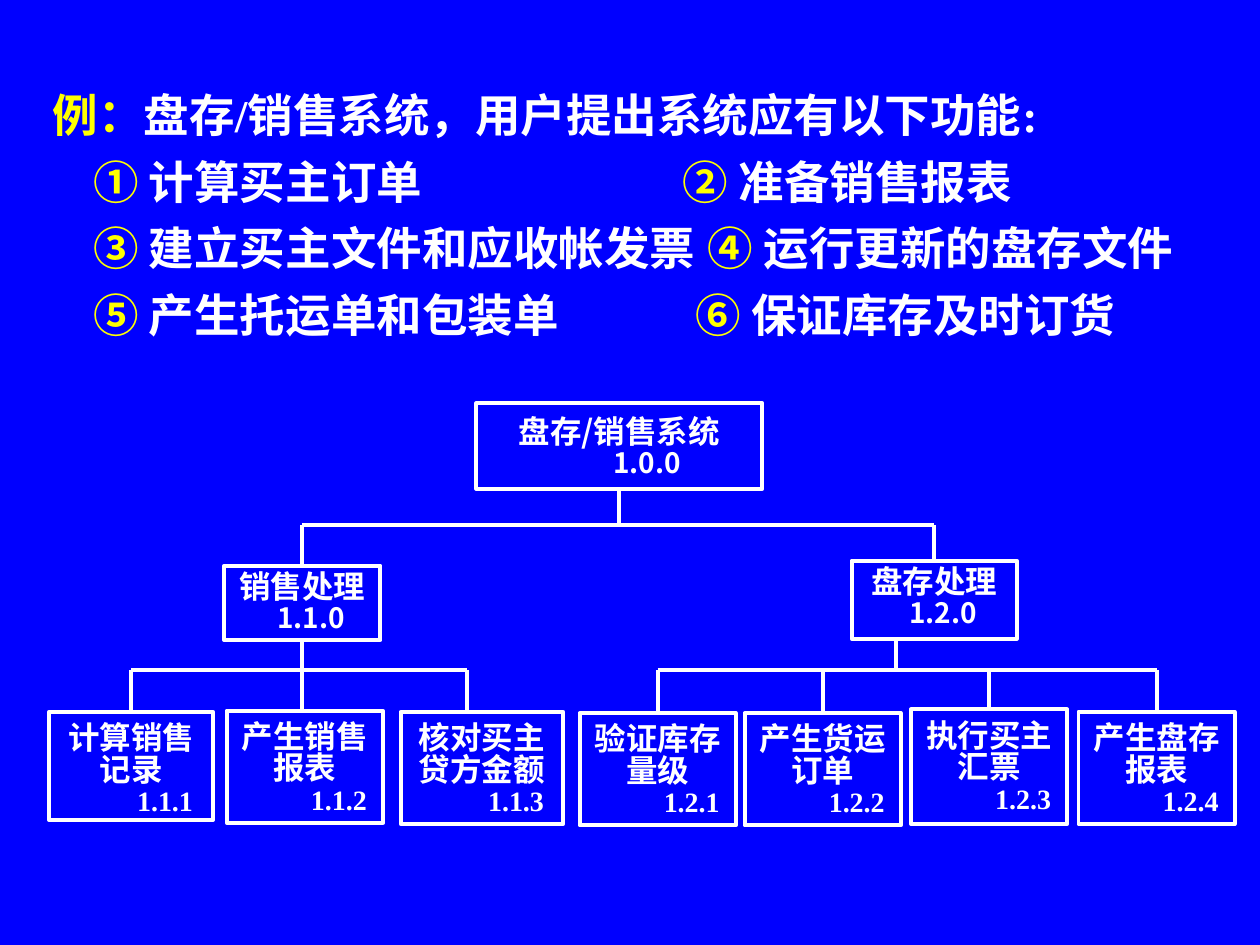
from lxml import etree
from pptx import Presentation
from pptx import util as u
from pptx.dml.color import RGBColor
from pptx.enum import shapes, text
from pptx.oxml.ns import qn

BLUE = RGBColor(0x00, 0x00, 0xFF)
WHITE = RGBColor(0xFF, 0xFF, 0xFF)
YELLOW = RGBColor(0xFF, 0xFF, 0x00)
CJK = "Noto Sans CJK SC"
LATIN = "Times New Roman"
LINE_W = u.Pt(2.25)

# Per level: Latin font, top inset, right shift of the number
ROOT = dict(font=CJK, top=0.12, shift=0.44)
BRANCH = dict(font=CJK, top=0.06, shift=0.14)
LEAF = dict(font=LATIN, top=0.1, shift=0.54)

# Left, top, width, height, caption lines, number
SYSTEM = (3.78, 3.2, 2.27, 0.68, ["盘存/销售系统"], "1.0.0")
SALES = (1.78, 4.49, 1.24, 0.59, ["销售处理"], "1.1.0")
STOCK = (6.76, 4.45, 1.31, 0.62, ["盘存处理"], "1.2.0")
SALES_LEAVES = [
    (0.39, 5.65, 1.3, 0.86, ["计算销售", "记录"], "1.1.1"),
    (1.8, 5.64, 1.24, 0.89, ["产生销售", "报表"], "1.1.2"),
    (3.18, 5.65, 1.29, 0.89, ["核对买主", "贷方金额"], "1.1.3"),
]
STOCK_LEAVES = [
    (4.6, 5.66, 1.24, 0.89, ["验证库存", "量级"], "1.2.1"),
    (5.91, 5.66, 1.24, 0.89, ["产生货运", "订单"], "1.2.2"),
    (7.23, 5.63, 1.24, 0.91, ["执行买主", "汇票"], "1.2.3"),
    (8.56, 5.65, 1.24, 0.89, ["产生盘存", "报表"], "1.2.4"),
]

# Start of the second column, then the two numbered items of the row
FUNCTIONS = [
    (5.0, ("①", "计算买主订单"), ("②", "准备销售报表")),
    (5.2, ("③", "建立买主文件和应收帐发票"), ("④", "运行更新的盘存文件")),
    (5.1, ("⑤", "产生托运单和包装单"), ("⑥", "保证库存及时订货")),
]


class Deck:
    def __init__(self):
        self.prs = Presentation()
        self.prs.slide_width = u.Inches(10)
        self.prs.slide_height = u.Inches(7.5)
        self.s = self.prs.slides.add_slide(self.prs.slide_layouts[6])
        fill = self.s.background.fill
        fill.solid()
        fill.fore_color.rgb = BLUE

    def run(self, p, words, size, color=WHITE, font=LATIN):
        r = p.add_run()
        r.text = words
        r.font.color.rgb = color
        for name, value in dict(bold=True, name=font, size=u.Pt(size)).items():
            setattr(r.font, name, value)
        ea = etree.SubElement(r.font._element, qn("a:ea"))
        ea.set("typeface", CJK)

    def intro(self, x, y, w, h):
        """Heading line and two columns of numbered functions set on tabs."""
        tf = self.s.shapes.add_textbox(*map(u.Inches, (x, y, w, h))).text_frame
        tf.word_wrap = True
        size = 26
        p = tf.paragraphs[0]
        p.line_spacing = u.Pt(38)
        self.run(p, "例：", size, YELLOW)
        self.run(p, "盘存/销售系统，用户提出系统应有以下功能:", size)
        for column, *items in FUNCTIONS:
            p = tf.add_paragraph()
            p.line_spacing = u.Pt(38)
            tabs = etree.SubElement(p._p.get_or_add_pPr(), qn("a:tabLst"))
            for stop, (number, words) in zip((0.32, column), items):
                tab = etree.SubElement(tabs, qn("a:tab"))
                tab.set("pos", str(u.Inches(stop)))
                tab.set("algn", "l")
                self.run(p, "\t" + number, size, YELLOW)
                self.run(p, " " + words, size)

    def box(self, node, level):
        *place, caption, code = node
        sp = self.s.shapes.add_shape(shapes.MSO_SHAPE.RECTANGLE, *map(u.Inches, place))
        sp.shadow.inherit = False
        sp.fill.solid()
        sp.fill.fore_color.rgb = BLUE
        sp.line.color.rgb = WHITE
        sp.line.width = LINE_W
        tf = sp.text_frame
        frame = dict(word_wrap=True, vertical_anchor=text.MSO_ANCHOR.TOP,
                     margin_top=u.Inches(level["top"]), margin_bottom=0)
        for name, value in frame.items():
            setattr(tf, name, value)
        for i, words in enumerate(caption + [code]):
            p = tf.add_paragraph() if i else tf.paragraphs[0]
            p.alignment = text.PP_ALIGN.CENTER
            is_code = words == code
            p.line_spacing = u.Pt(17 if is_code else 18)
            if is_code:
                p._p.get_or_add_pPr().set("marL", str(u.Inches(level["shift"])))
            self.run(p, words, 16 if is_code else 18, font=level["font"])
        return sp

    def line(self, x1, y1, x2, y2):
        cxn = self.s.shapes.add_connector(
            shapes.MSO_CONNECTOR.STRAIGHT, *map(u.Inches, (x1, y1, x2, y2)))
        cxn.line.color.rgb = WHITE
        cxn.line.width = LINE_W
        etree.SubElement(cxn._element.spPr, qn("a:effectLst"))
        return cxn

    def stem(self, parent, bus_y):
        """Join the bottom middle of a box to the bus below it."""
        x = (parent.left + parent.width / 2) / u.Inches(1)
        self.line(x, bus_y, x, bus_y).begin_connect(parent, 2)

    def drop(self, child, bus_y):
        """Join the bus to the top middle of a box; return the middle."""
        x = (child.left + child.width / 2) / u.Inches(1)
        self.line(x, bus_y, x, bus_y).end_connect(child, 0)
        return x


def main():
    d = Deck()
    d.intro(0.32, 0.55, 9.68, 2.23)
    system = d.box(SYSTEM, ROOT)
    sales, stock = [d.box(node, BRANCH) for node in (SALES, STOCK)]
    sales_leaves = [d.box(node, LEAF) for node in SALES_LEAVES]
    stock_leaves = [d.box(node, LEAF) for node in STOCK_LEAVES]

    branch_y, leaf_y = 4.17, 5.32
    d.stem(system, branch_y)
    left, right = [d.drop(sp, branch_y) for sp in (sales, stock)]
    d.line(left, branch_y, right, branch_y)

    d.stem(sales, leaf_y)
    left = d.drop(sales_leaves[0], leaf_y)
    d.line(2.4, leaf_y, 2.4, 5.64)
    d.line(3.71, leaf_y, 3.71, 5.65)
    d.line(left, leaf_y, 3.71, leaf_y)

    d.line(7.11, 5.07, 7.11, leaf_y)
    middles = [d.drop(sp, leaf_y) for sp in stock_leaves]
    d.line(middles[0], leaf_y, middles[-1], leaf_y)
    d.prs.save("out.pptx")


if __name__ == "__main__":
    main()
